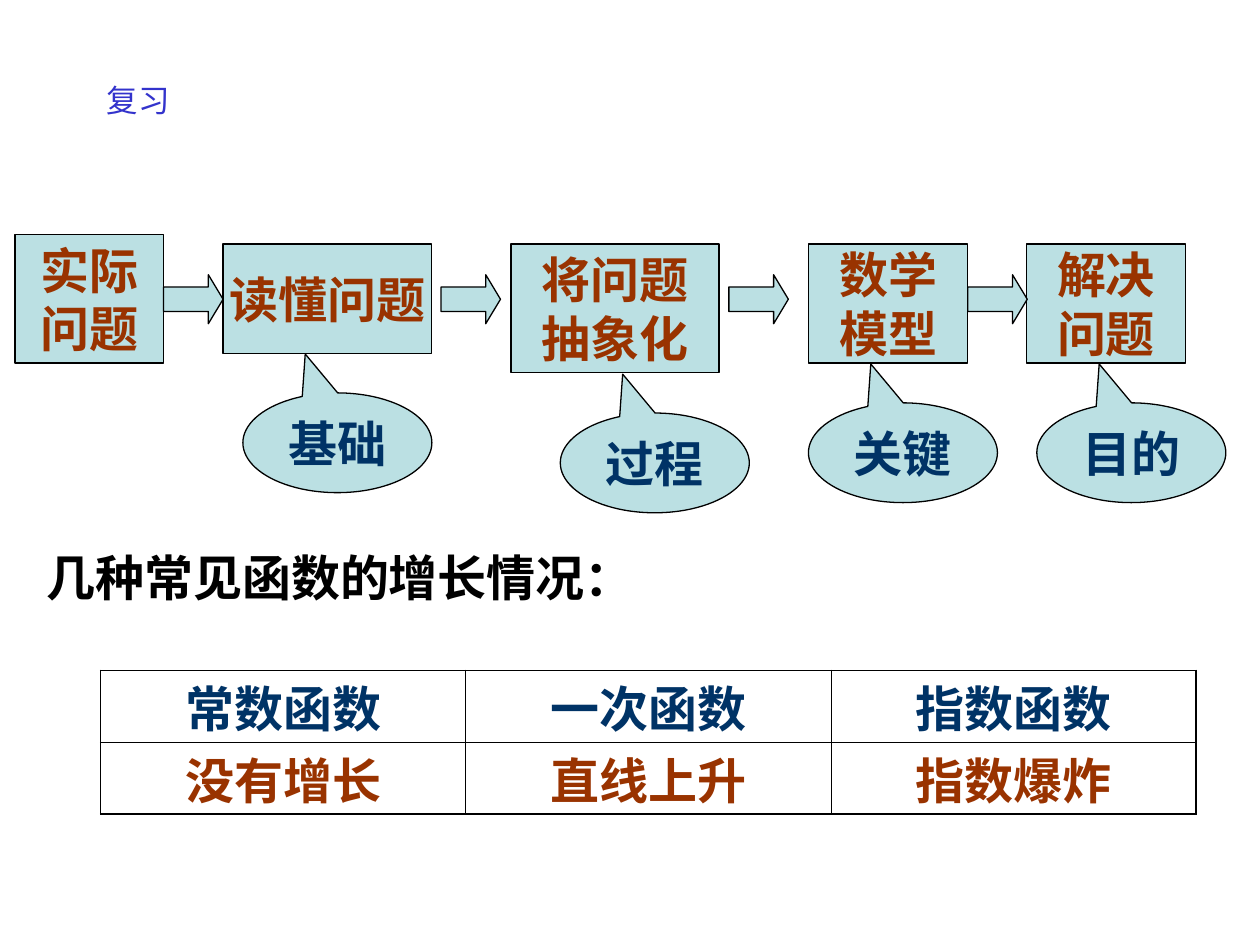
from dataclasses import dataclass

from lxml.etree import SubElement
from pptx import Presentation
from pptx.dml.color import RGBColor
from pptx.enum.shapes import MSO_SHAPE as Shape
from pptx.enum.text import MSO_ANCHOR as Anchor, PP_ALIGN as Align
from pptx.oxml.ns import qn
from pptx.util import Pt


@dataclass(frozen=True)
class Theme:
    fill: str = "BBE0E3"
    line: str = "000000"
    title: str = "3333CC"
    heading: str = "000000"
    rust: str = "993300"
    navy: str = "003366"
    font: str = "Arial"
    title_font: str = "Noto Sans CJK SC"
    title_size: float = 18
    body_size: float = 28
    outline: float = 0.75
    outer_border: float = 1.08
    inner_border: float = 0.45


THEME = Theme()

# Text lines, left, top, width, height
STEPS = [
    (("实际", "问题"), 8.5, 134, 85, 73.5),
    (("读懂问题",), 127.5, 139.5, 119, 62.5),
    (("将问题", "抽象化"), 292, 139.5, 119, 73.5),
    (("数学", "模型"), 462, 139.5, 91, 68),
    (("解决", "问题"), 586.5, 139.5, 91, 68),
]
ARROW_LEFTS = [93.5, 252, 416.5, 553]
# Text, left, top
CALLOUTS = [
    ("基础", 138.8, 224.5),
    ("过程", 320.2, 236),
    ("关键", 462, 230.2),
    ("目的", 592.5, 230.2),
]
GROWTH = [
    (THEME.navy, ("常数函数", "一次函数", "指数函数")),
    (THEME.rust, ("没有增长", "直线上升", "指数爆炸")),
]


def write(frame, lines, color, align=Align.CENTER, size=THEME.body_size,
          name=THEME.font, bold=True):
    for index, line in enumerate(lines):
        paragraph = frame.add_paragraph() if index else frame.paragraphs[0]
        paragraph.alignment = align
        run = paragraph.add_run()
        run.text = line
        formats = {"size": Pt(size), "name": name, "bold": bold}
        for attribute, value in formats.items():
            setattr(run.font, attribute, value)
        run.font.color.rgb = RGBColor.from_string(color)
        properties = run.font._element
        SubElement(properties, qn("a:ea")).set("typeface", name)


def add_filled_shape(slide, kind, box, adjustments=()):
    shape = slide.shapes.add_shape(kind, *map(Pt, box))
    shape.shadow.inherit = False
    shape.fill.solid()
    shape.fill.fore_color.rgb = RGBColor.from_string(THEME.fill)
    shape.line.color.rgb = RGBColor.from_string(THEME.line)
    shape.line.width = Pt(THEME.outline)
    for index, value in enumerate(adjustments):
        shape.adjustments[index] = value
    return shape


def add_step(slide, lines, box):
    frame = add_filled_shape(slide, Shape.RECTANGLE, box).text_frame
    frame.word_wrap = False
    frame.vertical_anchor = Anchor.MIDDLE
    write(frame, lines, THEME.rust)


def add_arrow(slide, left):
    add_filled_shape(slide, Shape.RIGHT_ARROW, (left, 157, 34, 28), (0.5, 0.3))


def add_callout(slide, text, left, top):
    shape = add_filled_shape(slide, Shape.OVAL_CALLOUT, (left, top, 108, 57),
                             (-0.17, -0.89))
    frame = shape.text_frame
    frame.word_wrap = True
    frame.vertical_anchor = Anchor.TOP
    write(frame, [text], THEME.navy)


def add_label(slide, text, box, color, wrap=True, **formats):
    frame = slide.shapes.add_textbox(*map(Pt, box)).text_frame
    frame.word_wrap = wrap
    write(frame, [text], color, Align.LEFT, **formats)


def set_borders(cell, widths):
    """Draw cell borders; widths maps each side tag to its points."""
    properties = cell._tc.get_or_add_tcPr()
    for index, (side, width) in enumerate(widths.items()):
        line = properties.makeelement(qn(f"a:{side}"), {"w": str(int(Pt(width)))})
        fill = SubElement(line, qn("a:solidFill"))
        SubElement(fill, qn("a:srgbClr")).set("val", THEME.line)
        properties.insert(index, line)


def add_growth_table(slide, left, top, width, height):
    rows, columns = len(GROWTH), len(GROWTH[0][1])
    table = slide.shapes.add_table(
        rows, columns, *map(Pt, (left, top, width, height))).table
    table.first_row = table.horz_banding = False
    for row, (color, texts) in enumerate(GROWTH):
        for column, text in enumerate(texts):
            cell = table.cell(row, column)
            cell.fill.background()
            cell.margin_top, cell.margin_bottom = Pt(7.2), Pt(0)
            write(cell.text_frame, [text], color)
            outer_sides = {
                "lnL": column == 0,
                "lnR": column == columns - 1,
                "lnT": row == 0,
                "lnB": row == rows - 1,
            }
            set_borders(cell, {
                side: THEME.outer_border if outer else THEME.inner_border
                for side, outer in outer_sides.items()})


def main():
    presentation = Presentation()
    presentation.slide_width, presentation.slide_height = Pt(720), Pt(540)
    slide = presentation.slides.add_slide(presentation.slide_layouts[6])

    add_label(slide, "复习", (54, 43, 91, 57), THEME.title, wrap=False,
              size=THEME.title_size, name=THEME.title_font, bold=False)
    for lines, *box in STEPS:
        add_step(slide, lines, box)
    for left in ARROW_LEFTS:
        add_arrow(slide, left)
    for callout in CALLOUTS:
        add_callout(slide, *callout)
    add_label(slide, "几种常见函数的增长情况：", (19.5, 309.5, 368.5, 41),
              THEME.heading)
    add_growth_table(slide, 57.5, 383.2, 626, 82)

    presentation.save("out.pptx")


if __name__ == "__main__":
    main()
